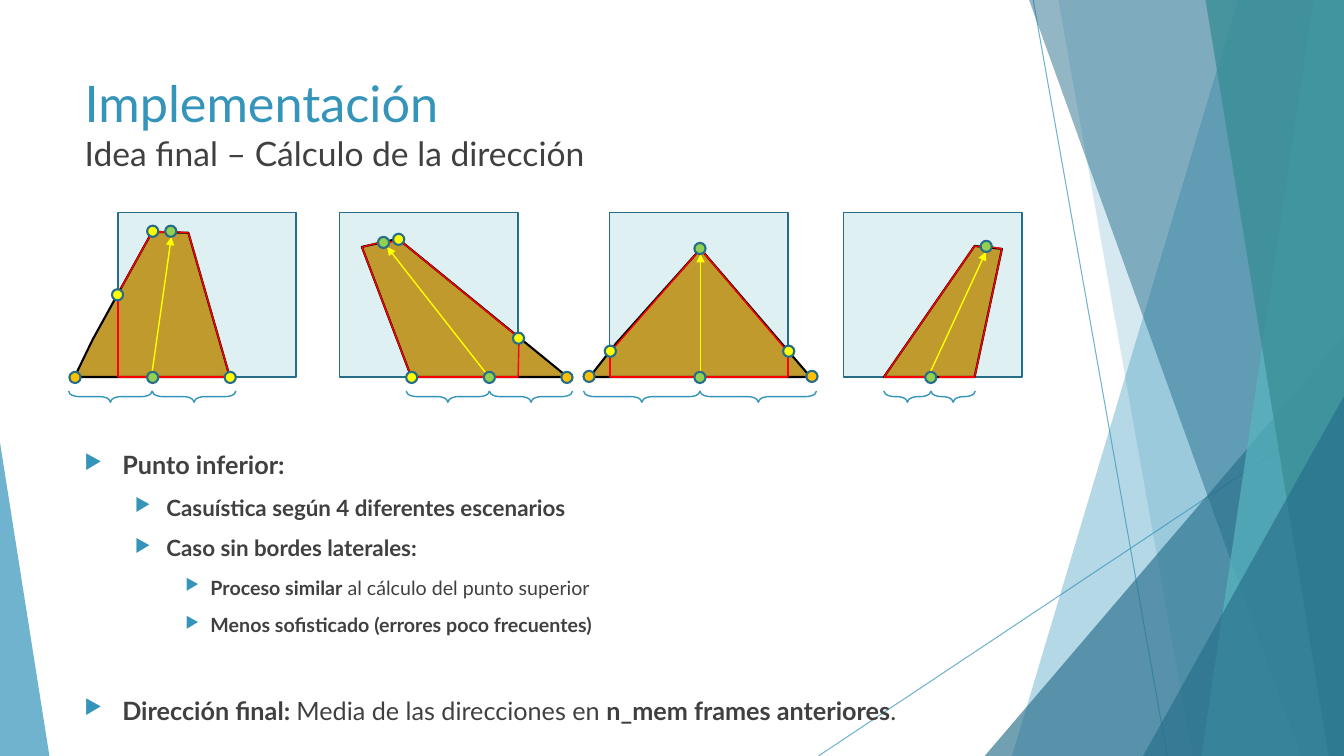
from dataclasses import dataclass
from itertools import pairwise
from pptx import Presentation
from pptx.dml.color import RGBColor
from pptx.enum.shapes import MSO_CONNECTOR, MSO_SHAPE
from pptx.enum.text import MSO_ANCHOR, MSO_AUTO_SIZE, PP_ALIGN
from pptx.oxml.ns import qn
from pptx.util import Pt
from lxml.etree import SubElement


@dataclass
class Theme:
    font: str = "Lato"
    blue: str = "3494BA"
    navy: str = "276F8B"
    teal: str = "58B6C0"
    green: str = "3A8F98"
    edge: str = "266D8A"
    pale: str = "DEF0F2"
    gold: str = "C19A2D"
    black: str = "000000"
    red: str = "FF0000"
    beam: str = "FFFF00"
    text: str = "404040"
    head: int = 36
    sub: int = 24
    sizes: tuple = (18, 16, 14)
    dots: tuple = (("o", "FFC000"), ("y", "FFFF00"), ("g", "92D050"))


class Deck:
    def __init__(self, theme):
        self.theme = theme
        self.file = Presentation()
        self.file.slide_width, self.file.slide_height = Pt(960), Pt(540)
        self.slide = self.file.slides.add_slide(self.file.slide_layouts[5])
        self.shapes = self.slide.shapes

    def fade(self, item, alpha):
        if alpha < 100:
            for tone in item.element.iter(qn("a:srgbClr")):
                SubElement(tone, qn("a:alpha"), val=str(alpha * 1000))

    def paint(self, shape, fill, edge, width, alpha=100):
        shape.shadow.inherit = False
        if fill:
            shape.fill.solid()
            shape.fill.fore_color.rgb = RGBColor.from_string(fill)
        else:
            shape.fill.background()
        if edge:
            shape.line.color.rgb = RGBColor.from_string(edge)
            shape.line.width = Pt(width)
        else:
            shape.line.fill.background()
        self.fade(shape, alpha)

    def shape(self, kind, box, fill=None, edge=None, width=1, alpha=100, adj=()):
        shape = self.shapes.add_shape(kind, *map(Pt, box))
        for i, value in enumerate(adj):
            shape.adjustments[i] = value
        self.paint(shape, fill, edge, width, alpha)
        return shape

    def poly(self, points, fill, edge=None, width=1, alpha=100):
        first, *rest = [(Pt(x), Pt(y)) for x, y in points]
        form = self.shapes.build_freeform(*first)
        form.add_line_segments(rest, close=True)
        self.paint(form.convert_to_shape(), fill, edge, width, alpha)

    def line(self, start, end, tone, width=1, alpha=100, arrow=False):
        line = self.shapes.add_connector(MSO_CONNECTOR.STRAIGHT, *map(Pt, start + end))
        line.line.color.rgb = RGBColor.from_string(tone)
        line.line.width = Pt(width)
        self.fade(line, alpha)
        if arrow:
            SubElement(line.line._get_or_add_ln(), qn("a:tailEnd"), type="triangle")
        SubElement(line.element.spPr, qn("a:effectLst"))

    def dot(self, x, y, fill):
        self.shape(MSO_SHAPE.OVAL, (x - 4, y - 4, 8, 8), fill, self.theme.edge, 1.5)

    def brace(self, left, right):
        # Upright brace turned a quarter about its centre
        span, mid = right - left, (left + right) / 2
        box = (mid - 4, 283.3 - span / 2, 8, span)
        shape = self.shape(MSO_SHAPE.LEFT_BRACE, box, edge=self.theme.blue, adj=(0.946, 0.501))
        shape.rotation = 270

    def style(self, run, size, tone, bold=False):
        run.font.name, run.font.size, run.font.bold = self.theme.font, Pt(size), bold
        run.font.color.rgb = RGBColor.from_string(tone)

    def frame(self, shape):
        frame = shape.text_frame
        frame.word_wrap, frame.auto_size = True, MSO_AUTO_SIZE.NONE
        frame.vertical_anchor = MSO_ANCHOR.TOP
        return frame

    def title(self, head, sub, box):
        shape = self.shapes.title
        shape.left, shape.top, shape.width, shape.height = map(Pt, box)
        frame = self.frame(shape)
        frame.text = head + "\v" + sub
        para = frame.paragraphs[0]
        para.alignment = PP_ALIGN.LEFT
        look = ((self.theme.head, self.theme.blue), (self.theme.sub, self.theme.text))
        for run, (size, tone) in zip(para.runs, look):
            self.style(run, size, tone)

    def bullets(self, items, box):
        frame = self.frame(self.shapes.add_textbox(*map(Pt, box)))
        indents = ((27, -27), (58.5, -22.5), (90, -18))
        for i, (level, gap, parts) in enumerate(items):
            para = frame.paragraphs[0] if i == 0 else frame.add_paragraph()
            para.level, para.space_before = level, Pt(gap)
            props = para._p.get_or_add_pPr()
            margin, indent = indents[level]
            props.set("marL", str(Pt(margin)))
            props.set("indent", str(Pt(indent)))
            tone = SubElement(props, qn("a:buClr"))
            SubElement(tone, qn("a:srgbClr"), val=self.theme.blue)
            SubElement(props, qn("a:buSzPct"), val="80000")
            SubElement(props, qn("a:buChar"), char="▶")
            for words, bold in parts:
                run = para.add_run()
                run.text = words
                self.style(run, self.theme.sizes[level], self.theme.text, bold)

    def scene(self, left, road, arrow, marks, reds, dots):
        theme = self.theme
        self.shape(MSO_SHAPE.RECTANGLE, (left, 152, 127.4, 117.3), theme.pale, theme.edge)
        self.poly(road, theme.gold, theme.black, 1.5)
        self.line(*arrow, theme.beam, arrow=True)
        for pair in pairwise(marks):
            self.brace(*pair)
        for chain in reds:
            for start, end in pairwise(chain):
                self.line(start, end, theme.red)
        fills = dict(theme.dots)
        for key, x, y in dots:
            self.dot(x, y, fills[key])


BASE = 269.3  # ground line of the scenes
DOT = 269.6   # centre of the dots on it

SCENES = (
    (84.2,
     ((53.3, BASE), (66.2, 242.6), (108.7, 165.6), (134.6, 166.3), (164.2, BASE)),
     ((108.7, 265.7), (122.4, 169.2)), (49, 108.7, 168.5),
     (((84.2, 214.6), (84.2, BASE), (105.1, BASE)), ((160.6, BASE), (113, BASE)),
      ((164.2, BASE), (134.6, 166.3), (126, 165.6)),
      ((86.4, 205.9), (108.7, 165.6), (118.1, 165.6))),
     (("o", 53.6, DOT), ("y", 84, 210.6), ("g", 109.1, DOT), ("y", 164.5, DOT),
      ("y", 109.1, 165.2), ("g", 122, 165.2))),
    (242.6,
     ((293.8, BASE), (258.5, 176.4), (284.4, 170.6), (405.4, BASE)),
     ((347, 266.4), (276.5, 176.4)), (290.2, 349.6, 409),
     (((345.6, BASE), (298.1, BASE)), ((349.2, BASE), (370.1, BASE), (370.8, 237.6)),
      ((293.8, BASE), (258.5, 176.4), (270, 173.5)),
      ((367.9, 239), (284.4, 170.6), (277.9, 173.5))),
     (("o", 405, DOT), ("y", 294.1, DOT), ("g", 349.6, DOT), ("y", 370.4, 241.6),
      ("g", 274, 173.2), ("y", 284.8, 171))),
    (435.6,
     ((421.2, BASE), (439.9, 245.5), (500.4, 177.8), (578.9, BASE)),
     ((500.4, 265.7), (500.4, 181.4)), (416.9, 500, 583.2),
     (((435.6, 254.9), (435.6, BASE), (495.4, BASE)),
      ((504, BASE), (563, BASE), (563, 254.9)),
      ((438.5, 248.4), (500.4, 177.8), (560.2, 248.4))),
     (("o", 580, 268.9), ("o", 420.8, 268.9), ("y", 436, 250.9), ("y", 563.4, 250.9),
      ("g", 500, DOT), ("g", 500, 177.5))),
    (602.6,
     ((631.4, BASE), (696.2, 175.7), (715.7, 177.8), (696.2, BASE)),
     ((664.6, 265.7), (704.2, 180)), (631.4, 665, 696.6),
     (((662.4, BASE), (631.4, BASE), (696.2, 175.7), (700.6, 176.4)),
      ((671, BASE), (696.2, BASE), (715.7, 177.8), (708.5, 176.4))),
     (("g", 664.9, DOT), ("g", 704.5, 176))),
)

ITEMS = (
    (0, 0, (("Punto inferior:", True),)),
    (1, 10, (("Casuística según 4 diferentes escenarios", True),)),
    (1, 10, (("Caso sin bordes laterales:", True),)),
    (2, 10, (("Proceso similar", True), (" al cálculo del punto superior", False))),
    (2, 10, (("Menos sofisticado (errores poco frecuentes)", True),)),
    (0, 41.6, (("Dirección final: ", True), ("Media de las direcciones en ", False),
               ("n_mem frames anteriores", True), (".", False))),
)


def main():
    theme = Theme()
    deck = Deck(theme)

    # Backdrop: thin lines, then slanted bands and corner triangles
    deck.line((738, 0), (833.8, 540), theme.blue, 0.75, 70)
    deck.line((960, 290.2), (584.6, 540), theme.blue, 0.75, 70)

    def band(top, foot, tone, alpha):
        deck.poly(((top, 0), (960, 0), (960, 540), (foot, 540)), tone, alpha=alpha)

    def wedge(box, tone, alpha, tip):
        deck.shape(MSO_SHAPE.ISOSCELES_TRIANGLE, box, tone, alpha=alpha, adj=(tip,))

    band(884.2, 722.9, theme.blue, 36)
    band(756, 851.8, theme.blue, 20)
    wedge((703.4, 239.8, 256.6, 300.2), theme.navy, 66, 1)
    band(735.1, 929.5, theme.navy, 50)
    band(938.2, 858.2, theme.teal, 70)
    band(861.1, 949, theme.green, 80)
    wedge((816.5, 283, 143.5, 257), theme.navy, 66, 1)
    wedge((0, 316.1, 35.3, 223.9), theme.blue, 70, 0)

    # Title, four scenes and bullets
    deck.title("Implementación", "Idea final – Cálculo de la dirección", (53.3, 48.2, 676.8, 103.7))
    for scene in SCENES:
        deck.scene(*scene)
    deck.bullets(ITEMS, (53.3, 317.5, 676.8, 222.5))
    deck.file.save("out.pptx")


if __name__ == "__main__":
    main()
